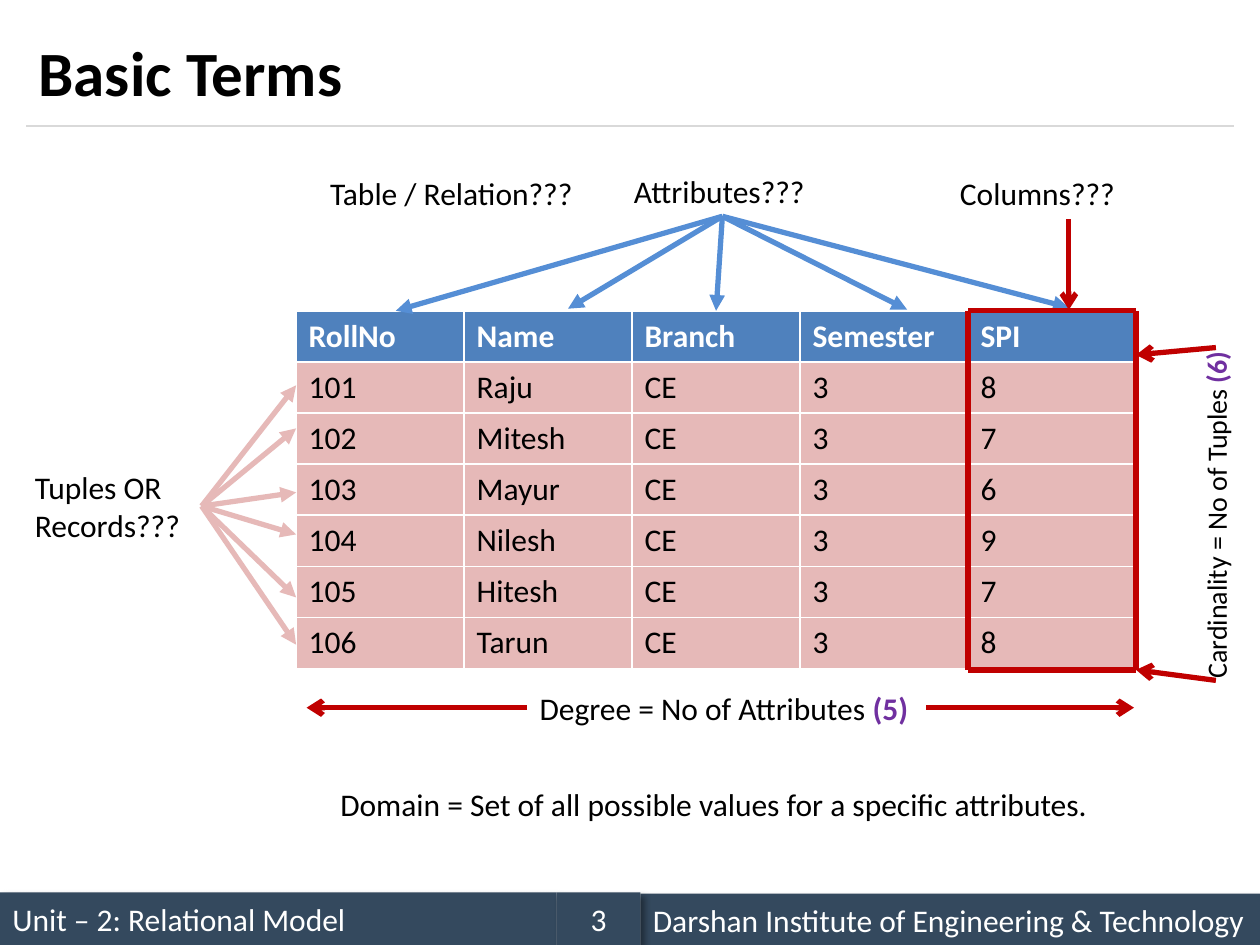
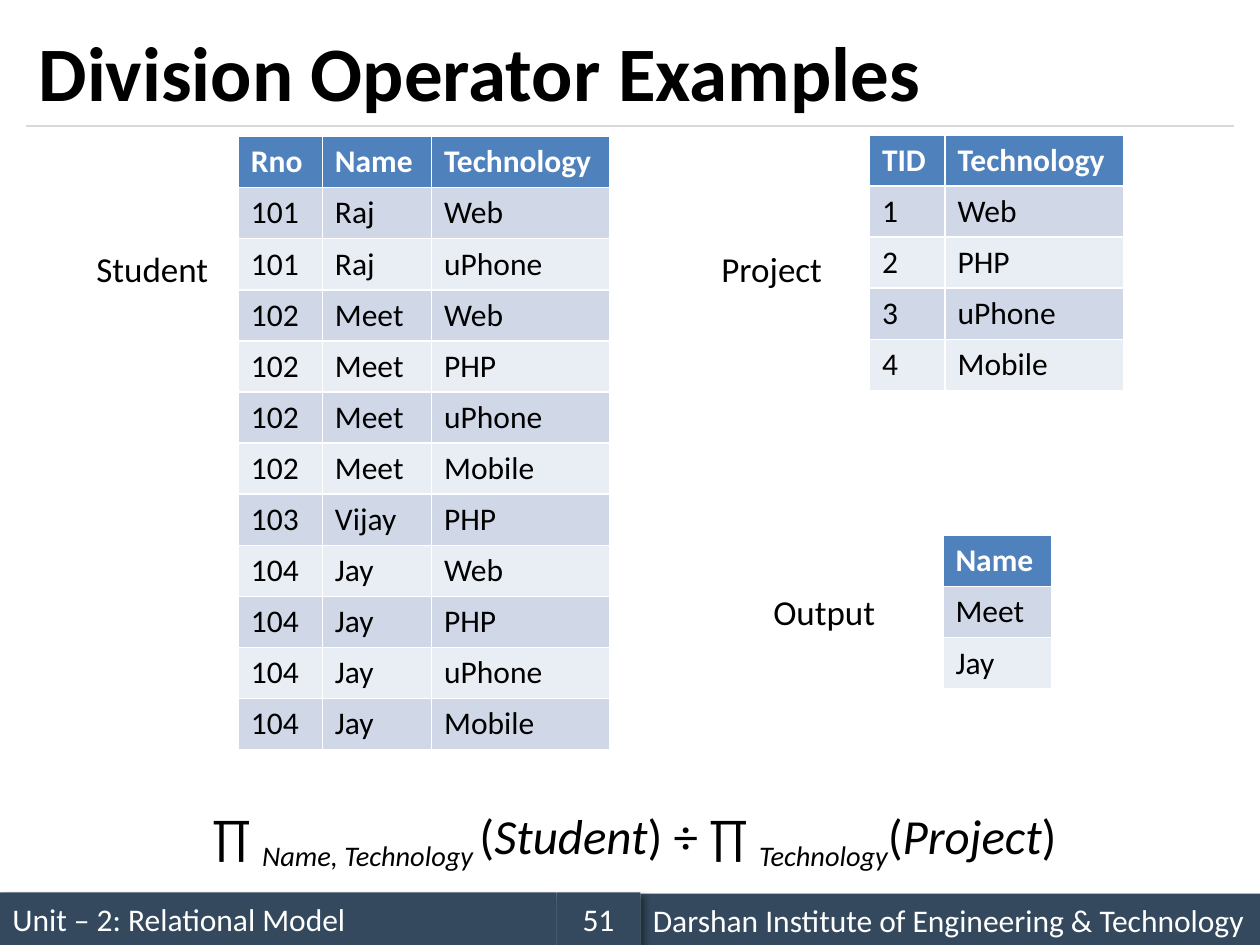
from lxml import etree
from pptx import Presentation
from pptx.dml.color import RGBColor
from pptx.enum.shapes import MSO_CONNECTOR, MSO_SHAPE
from pptx.enum.text import MSO_ANCHOR, PP_ALIGN
from pptx.oxml import parse_xml
from pptx.oxml.ns import nsdecls, qn
from pptx.util import Inches, Pt

STRAIGHT = MSO_CONNECTOR.STRAIGHT
RECT = MSO_SHAPE.RECTANGLE
MIDDLE, TOP = MSO_ANCHOR.MIDDLE, MSO_ANCHOR.TOP
LEFT, CENTER = PP_ALIGN.LEFT, PP_ALIGN.CENTER

# All lengths are units of a 120 x 90 grid laid over the slide
COLS, ROWS = 120, 90
ROW_H = 4.87
TEXT_H = 4.85
FONT = "Calibri"
COLORS = {
    "text": "000000", "white": "FFFFFF", "band": "34495E", "rule": "D9D9D9",
    "header": "4F81BD", "stripe": "D0D8E8", "pale": "E9EDF4",
    "tuple": "E6B9B8", "attribute": "558ED5", "column": "C00000",
    "count": "7030A0",
}
SHADOW = (
    f'<a:effectLst {nsdecls("a")}><a:outerShdw blurRad="50800" dist="38100" '
    'dir="2700000" algn="tl" rotWithShape="0"><a:srgbClr val="000000">'
    '<a:alpha val="40000"/></a:srgbClr></a:outerShdw></a:effectLst>'
)


def rgb(name):
    return RGBColor.from_string(COLORS[name])


class Deck:
    def __init__(self):
        self.prs = Presentation()
        self.prs.slide_width, self.prs.slide_height = Inches(10), Inches(7.5)
        self.s = None

    def x(self, cols):
        return round(self.prs.slide_width * cols / COLS)

    def y(self, rows):
        return round(self.prs.slide_height * rows / ROWS)

    def box(self, left, top, width, height):
        return self.x(left), self.y(top), self.x(width), self.y(height)

    def style(self, r, size, color="text", bold=False, italic=False, sub=False):
        r.font.name, r.font.size = FONT, Pt(size)
        r.font.bold, r.font.italic = bold, italic
        r.font.color.rgb = rgb(color)
        if sub:
            r.font._element.set("baseline", "-25000")

    def fill_text(self, tf, runs, size=18, align=LEFT, anchor=TOP, **look):
        """Write one paragraph; runs is a string or (text, look) pairs."""
        tf.word_wrap, tf.vertical_anchor = True, anchor
        p = tf.paragraphs[0]
        p.alignment = align
        for text, extra in [(runs, {})] if isinstance(runs, str) else runs:
            r = p.add_run()
            r.text = text
            self.style(r, size, **{**look, **extra})
        return p

    def text(self, box, runs, size=18, rotation=0, **look):
        sp = self.s.shapes.add_textbox(*self.box(*box))
        sp.rotation = rotation
        return self.fill_text(sp.text_frame, runs, size, **look)

    def band(self, box, text, align=LEFT):
        sp = self.s.shapes.add_shape(RECT, *self.box(*box))
        sp.fill.solid()
        sp.fill.fore_color.rgb = rgb("band")
        sp.line.fill.background()
        sp._element.spPr.append(parse_xml(SHADOW))
        self.fill_text(sp.text_frame, text, align=align, anchor=MIDDLE, color="white")

    def line(self, start, end, color, width=3, head=None):
        sp = self.s.shapes.add_connector(
            STRAIGHT, self.x(start[0]), self.y(start[1]), self.x(end[0]), self.y(end[1]))
        sp.line.color.rgb, sp.line.width = rgb(color), Pt(width)
        if head:
            ln = sp.line._get_or_add_ln()
            etree.SubElement(ln, qn("a:tailEnd"), type=head)
        etree.SubElement(sp._element.spPr, qn("a:effectLst"))

    def table(self, left, top, widths, rows, fills):
        """Header row first; body rows take the fills in turn."""
        frame = self.s.shapes.add_table(
            len(rows), len(widths),
            *self.box(left, top, sum(widths), ROW_H * len(rows)))
        tbl = frame.table
        for col, width in zip(tbl.columns, widths):
            col.width = self.x(width)
        for i, row in enumerate(rows):
            tbl.rows[i].height = self.y(ROW_H)
            for j, value in enumerate(row):
                cell = tbl.cell(i, j)
                cell.fill.solid()
                cell.fill.fore_color.rgb = rgb(fills[(i - 1) % len(fills)] if i else "header")
                cell.text = value
                self.style(cell.text_frame.paragraphs[0].runs[0], 18,
                           "text" if i else "white", bold=i == 0)

    def slide(self, title, number, title_size):
        self.s = self.prs.slides.add_slide(self.prs.slide_layouts[6])
        self.band((0, 85, 53, 5), "Unit – 2: Relational Model")
        self.line((2.5, 12), (117.5, 12), "rule", 0.75)
        self.band((61, 85.1, 59, 5), "Darshan Institute of Engineering & Technology")
        self.band((53, 85, 8, 5), number, CENTER)
        self.text((2.5, 1.5, 115, 10.5), title, title_size, bold=True, anchor=MIDDLE)


def basic_terms(deck):
    deck.slide("Basic Terms", "3", 36)

    # Student relation
    left, top, col_w = 28.2, 29.6, 16
    right, bottom = left + 5 * col_w, 63.8
    students = [("Raju", "8"), ("Mitesh", "7"), ("Mayur", "6"),
                ("Nilesh", "9"), ("Hitesh", "7"), ("Tarun", "8")]
    rows = [("RollNo", "Name", "Branch", "Semester", "SPI")]
    rows += [(str(roll), name, "CE", "3", spi)
             for roll, (name, spi) in enumerate(students, 101)]
    deck.table(left, top, [col_w] * 5, rows, ["tuple"])

    # Terms around the table
    deck.text((30.25, 16, 26, TEXT_H), "Table / Relation???")
    deck.text((2.15, 44, 17, 8.5), "Tuples OR Records???")
    deck.text((59.2, 15.8, 19, TEXT_H), "Attributes???")
    deck.text((90.25, 16, 19, TEXT_H), "Columns???")
    count = {"color": "count", "bold": True}
    deck.text((50.2, 65, 38, TEXT_H), [("Degree = No of Attributes ", {}), ("(5)", count)])
    deck.text((98.4, 46.2, 34.8, 4.4),
              [("Cardinality = No of Tuples ", {}), ("(6)", count)], 16, rotation=270)
    deck.text((29, 74.2, 78, TEXT_H),
              "Domain = Set of all possible values for a specific attributes.", align=CENTER)

    # Fans of arrows to the attributes and the tuples
    for end in [(37.7, 29.6), (101.8, 29.3), (86.4, 29.5), (68.2, 29.6), (54.1, 29.4)]:
        deck.line((68.8, 20.6), end, "attribute", head="triangle")
    for row in (36.7, 40.8, 46.9, 50.9, 56.9, 61.4):
        deck.line((19.2, 48.2), (left, row), "tuple", head="triangle")

    # Frame around the SPI column
    spi = right - col_w
    corners = [(spi, top), (right, top), (right, bottom), (spi, bottom)]
    for start, end in zip(corners, corners[1:] + corners[:1]):
        deck.line(start, end, "column")

    # Arrows for column, degree and cardinality
    for start, end in [((101.8, 20.9), (101.8, 29.5)),
                       ((50.2, 67.4), (29.2, 67.4)), ((88.2, 67.4), (108, 67.4)),
                       ((115.8, 33.1), (right, 33.8)), ((115.8, 64.8), (right, bottom))]:
        deck.line(start, end, "column", head="arrow")


def division_examples(deck):
    deck.slide("Division Operator Examples", "51", 44)
    stripes = ["stripe", "pale"]
    web, php, phone, mobile = "Web", "PHP", "uPhone", "Mobile"
    id_w, name_w, tech_w = 8, 10.4, 17

    # Operand and result tables
    skills = [("101", "Raj", (web, phone)), ("102", "Meet", (web, php, phone, mobile)),
              ("103", "Vijay", (php,)), ("104", "Jay", (web, php, phone, mobile))]
    student = [("Rno", "Name", "Technology")]
    student += [(rno, name, tech) for rno, name, techs in skills for tech in techs]
    project = [("TID", "Technology")]
    project += [(str(tid), tech) for tid, tech in enumerate((web, php, phone, mobile), 1)]
    deck.table(22.7, 13, [id_w, name_w, tech_w], student, stripes)
    deck.table(82.8, 12.85, [7.2, tech_w], project, stripes)
    deck.table(89.8, 51, [name_w], [("Name",), ("Meet",), ("Jay",)], stripes)

    # Table names
    for left, top, name in [(7, 23, "Student"), (66, 23, "Project"), (71, 55.6, "Output")]:
        deck.text((left, top, 15, 5.25), name, 20, align=CENTER)

    # Relational algebra expression
    italic, sub = {"italic": True}, {"italic": True, "sub": True}
    p = deck.text((13, 76.1, 97, 6.9), [
        ("∏ ", {}), ("Name, Technology ", sub), ("(", {}), ("Student", italic),
        (") ÷ ∏ ", {}), ("Technology", sub), ("(", {}), ("Project", italic), (")", {})], 28)
    p._p.get_or_add_pPr().set("marL", str(deck.x(6)))


def main():
    deck = Deck()
    basic_terms(deck)
    division_examples(deck)
    deck.prs.save("out.pptx")


if __name__ == "__main__":
    main()
